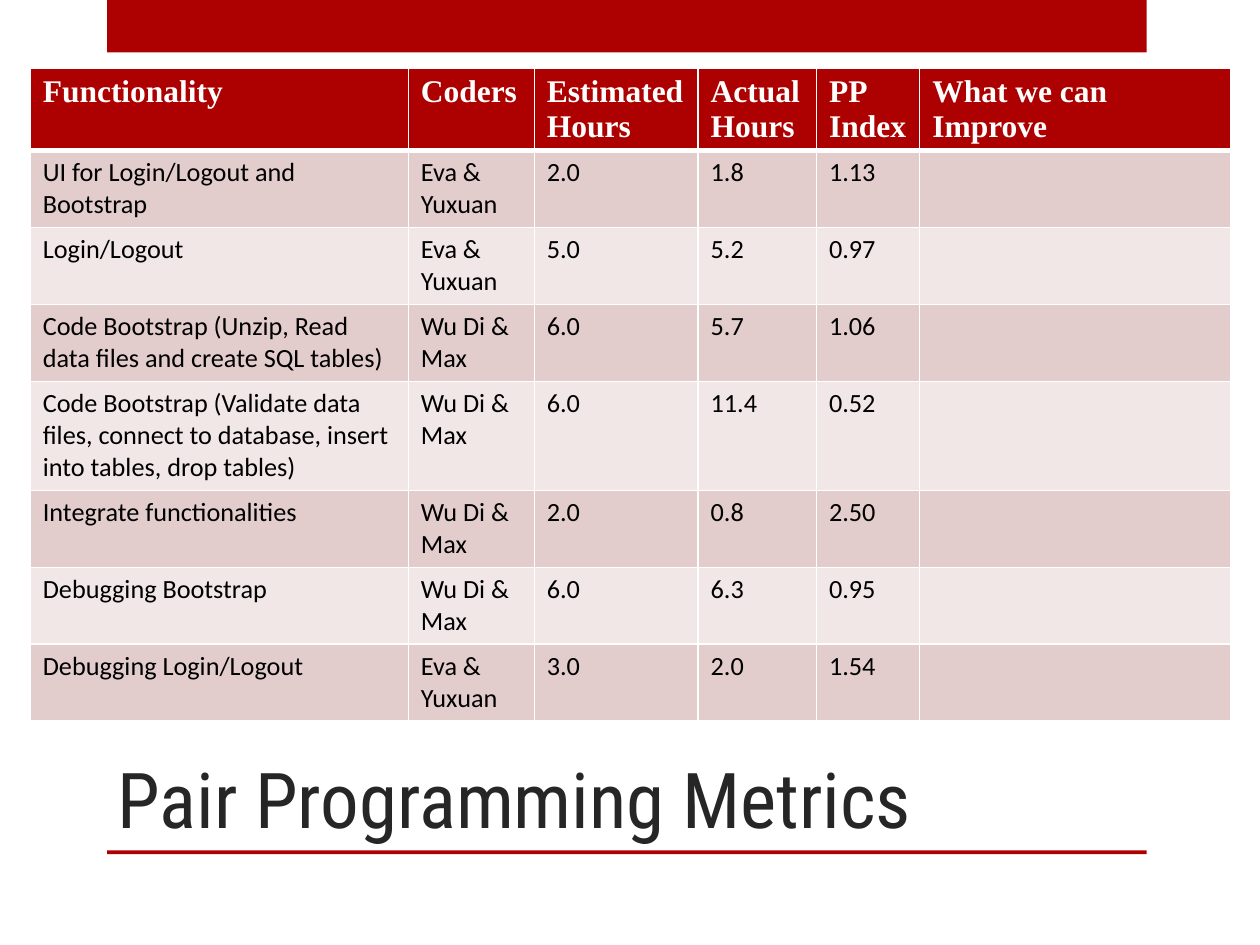
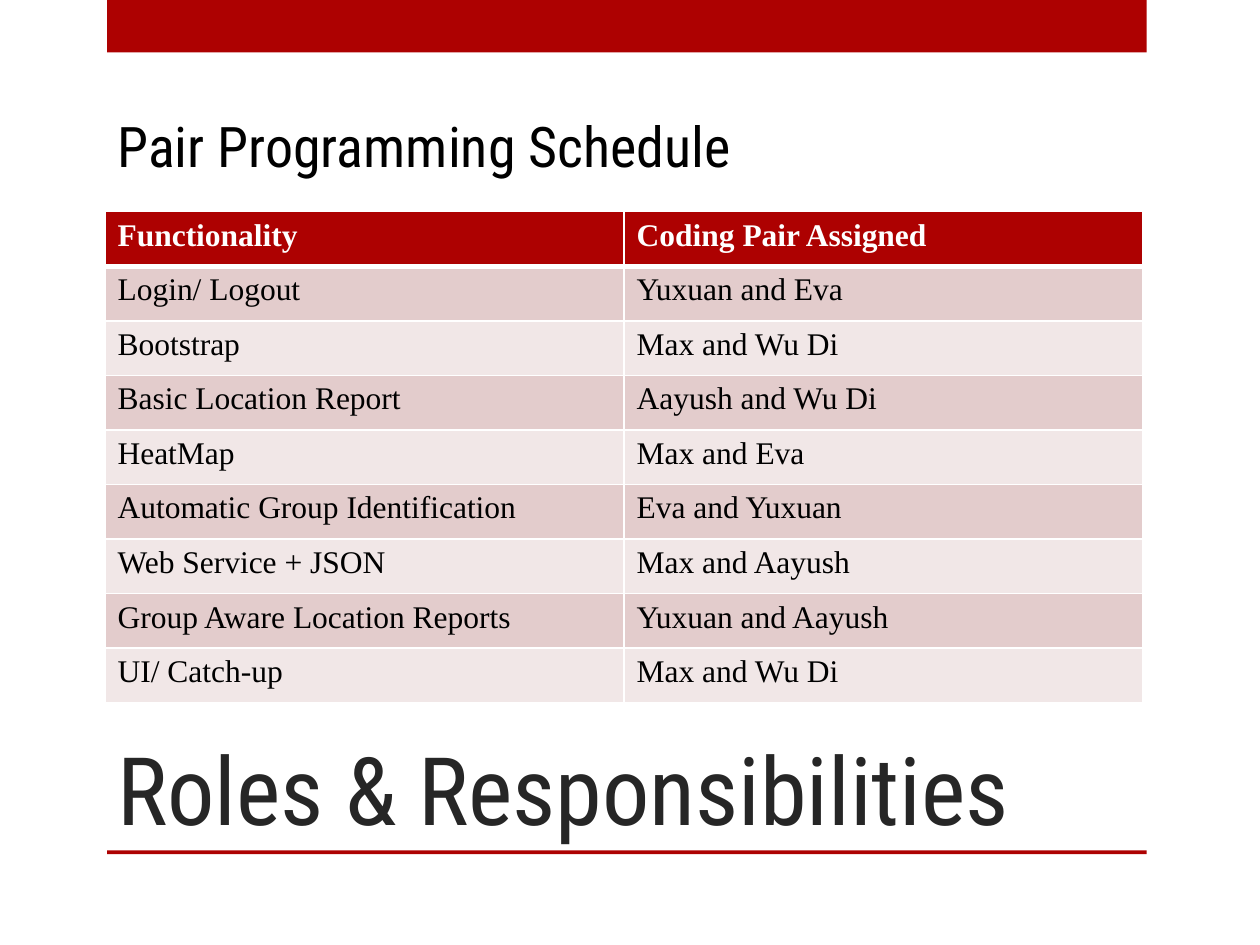
from lxml.etree import SubElement
from pptx import Presentation
from pptx.dml.color import RGBColor
from pptx.enum.shapes import MSO_SHAPE
from pptx.enum.text import MSO_ANCHOR, MSO_AUTO_SIZE
from pptx.oxml.ns import qn
from pptx.util import Inches, Pt

RED = "AD0101"
WHITE = "FFFFFF"
BLACK = "000000"
TITLE_GREY = "262626"
ROW_FILLS = ("E3CCCC", "F1E7E7")
TITLE_FONT = "Roboto Condensed"
HEADER_FONT = "Times New Roman"
BODY_FONT = "Calibri"
HEADER_SIZE = 18
MARGIN = 10 / 12
BAND_HEIGHT = MARGIN / 2

METRICS_HEADER = ("Functionality", "Coders", "Estimated Hours",
                  "Actual Hours", "PP Index", "What we can Improve")
METRICS = [
    ("UI for Login/Logout and Bootstrap", "Eva & Yuxuan", "2.0", "1.8", "1.13", ""),
    ("Login/Logout", "Eva & Yuxuan", "5.0", "5.2", "0.97", ""),
    ("Code Bootstrap (Unzip, Read data files and create SQL tables)",
     "Wu Di & Max", "6.0", "5.7", "1.06", ""),
    ("Code Bootstrap (Validate data files, connect to database, "
     "insert into tables, drop tables)", "Wu Di & Max", "6.0", "11.4", "0.52", ""),
    ("Integrate functionalities", "Wu Di & Max", "2.0", "0.8", "2.50", ""),
    ("Debugging Bootstrap", "Wu Di & Max", "6.0", "6.3", "0.95", ""),
    ("Debugging Login/Logout", "Eva & Yuxuan", "3.0", "2.0", "1.54", ""),
]
SCHEDULE_HEADER = ("Functionality", "Coding Pair Assigned")
SCHEDULE = [
    ("Login/ Logout", "Yuxuan and Eva"),
    ("Bootstrap", "Max and Wu Di"),
    ("Basic Location Report", "Aayush and Wu Di"),
    ("HeatMap", "Max and Eva"),
    ("Automatic Group Identification", "Eva and Yuxuan"),
    ("Web Service + JSON", "Max and Aayush"),
    ("Group Aware Location Reports", "Yuxuan and Aayush"),
    ("UI/ Catch-up", "Max and Wu Di"),
]


def color(value):
    """Turn a hex string into a colour."""
    return RGBColor.from_string(value)


def style_text(text_frame, font_name, size, font_color, bold=False):
    """Format every run of a text frame."""
    for paragraph in text_frame.paragraphs:
        for run in paragraph.runs:
            run.font.name = font_name
            run.font.size = Pt(size)
            run.font.bold = bold
            run.font.color.rgb = color(font_color)


def add_bar(slide, top, height):
    """Draw a red bar across the content width."""
    shape = slide.shapes.add_shape(MSO_SHAPE.RECTANGLE, Inches(0.85), Inches(top),
                                   Inches(8.25), Inches(height))
    shape.shadow.inherit = False
    shape.fill.solid()
    shape.fill.fore_color.rgb = color(RED)
    shape.line.fill.background()


def add_base_slide(presentation):
    """Add a blank slide with the top band and the rule under the title."""
    slide = presentation.slides.add_slide(presentation.slide_layouts[6])
    add_bar(slide, 0, BAND_HEIGHT)
    add_bar(slide, 6.75, 0.03)
    return slide


def add_text(slide, text, top, width, height, size, font_color):
    """Add a wrapped text box at the left margin and return its frame."""
    box = slide.shapes.add_textbox(Inches(MARGIN), Inches(top),
                                   Inches(width), Inches(height))
    text_frame = box.text_frame
    text_frame.word_wrap = True
    text_frame.text = text
    style_text(text_frame, TITLE_FONT, size, font_color)
    return text_frame


def add_title(slide, text, width, size):
    """Add the slide title, resting on the lower rule."""
    text_frame = add_text(slide, text, 5, width, 1.75, size, TITLE_GREY)
    text_frame.vertical_anchor = MSO_ANCHOR.BOTTOM


def set_borders(cell, top=1, bottom=1):
    """Give a cell white borders, with widths in points."""
    properties = cell._tc.get_or_add_tcPr()
    for side, width in (("L", 1), ("R", 1), ("T", top), ("B", bottom)):
        line = SubElement(properties, qn(f"a:ln{side}"), w=str(Pt(width)))
        fill = SubElement(line, qn("a:solidFill"))
        SubElement(fill, qn("a:srgbClr"), val=WHITE)


def add_banded_table(slide, rows, left, top, widths, row_height, body_font, body_size):
    """Add a table with a red header row and alternating body rows."""
    frame = slide.shapes.add_table(len(rows), len(widths), Inches(left), Inches(top),
                                   Inches(sum(widths)), Inches(row_height * len(rows)))
    table = frame.table
    for column, width in zip(table.columns, widths):
        column.width = Inches(width)
    for row_index, values in enumerate(rows):
        is_header = row_index == 0
        fill = RED if is_header else ROW_FILLS[(row_index - 1) % 2]
        for column_index, value in enumerate(values):
            cell = table.cell(row_index, column_index)
            set_borders(cell, top=3 if row_index == 1 else 1,
                        bottom=3 if is_header else 1)
            cell.fill.solid()
            cell.fill.fore_color.rgb = color(fill)
            cell.text_frame.text = value
            if is_header:
                style_text(cell.text_frame, HEADER_FONT, HEADER_SIZE, WHITE, bold=True)
            else:
                style_text(cell.text_frame, body_font, body_size, BLACK)


def build_metrics(presentation):
    """Build the slide with the pair programming metrics."""
    slide = add_base_slide(presentation)
    add_banded_table(slide, [METRICS_HEADER] + METRICS, 0.24, 0.54,
                     (3, 1, 1.3, 0.94, 0.82, 2.47), 0.41, BODY_FONT, 15)
    add_title(slide, "Pair Programming Metrics", 8.31, 44)


def build_schedule(presentation):
    """Build the slide with the pair programming schedule."""
    slide = add_base_slide(presentation)
    add_title(slide, "Roles & Responsibilities", 8.38, 54)
    heading = add_text(slide, "Pair Programming Schedule", MARGIN, 5.88, 0.64, 32, BLACK)
    heading.auto_size = MSO_AUTO_SIZE.SHAPE_TO_FIT_TEXT
    add_banded_table(slide, [SCHEDULE_HEADER] + SCHEDULE, MARGIN, 1.68,
                     (4.12, 4.12), 3.9 / 9, HEADER_FONT, HEADER_SIZE)


def main():
    """Build and save the presentation."""
    presentation = Presentation()
    presentation.slide_width = Inches(10)
    presentation.slide_height = Inches(7.5)
    build_metrics(presentation)
    build_schedule(presentation)
    presentation.save("out.pptx")


main()
